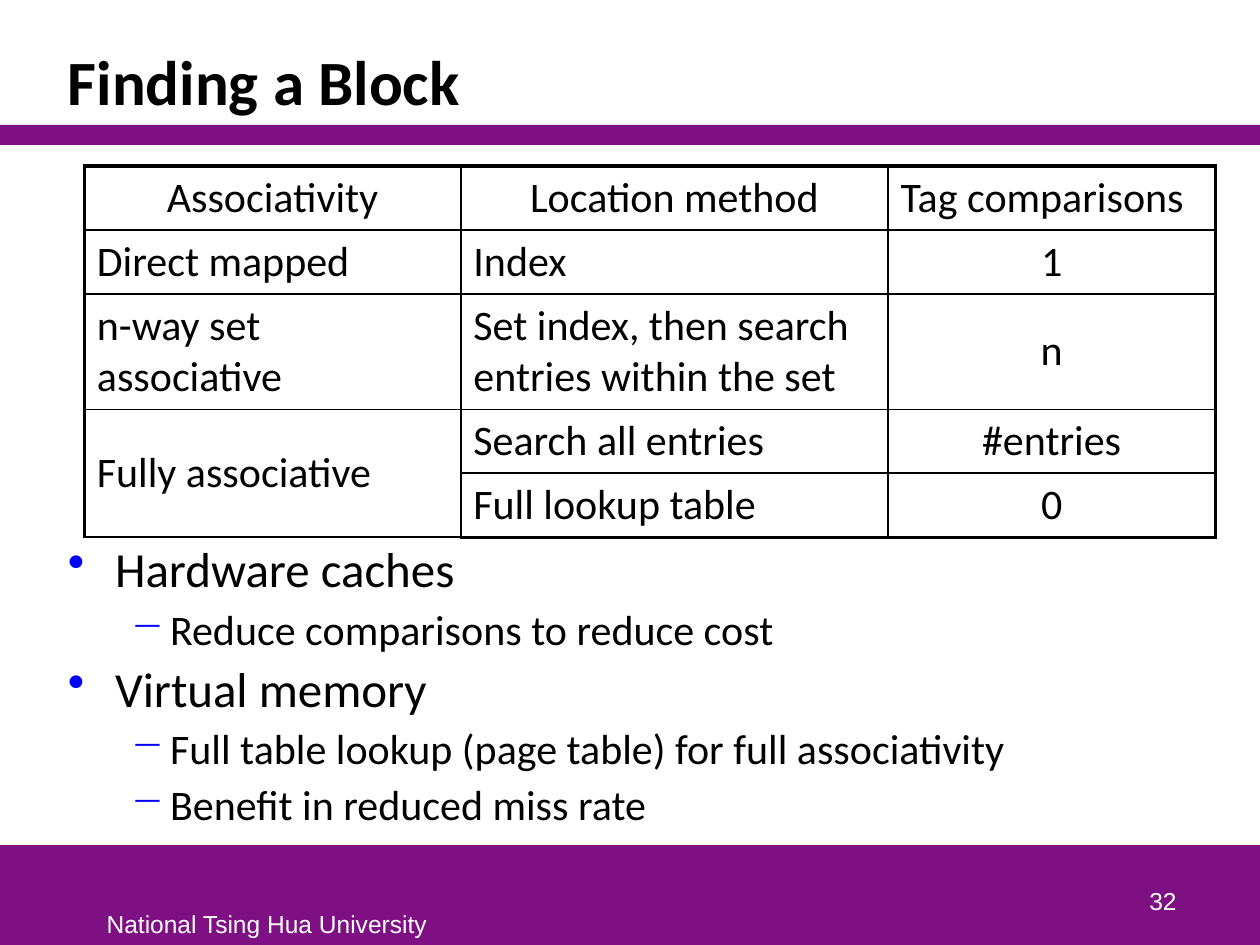
from dataclasses import dataclass

from lxml import etree
from pptx import Presentation, util as u
from pptx.dml.color import RGBColor
from pptx.enum import shapes, text
from pptx.oxml import ns

PURPLE = RGBColor(0x7F, 0x10, 0x84)
BLACK = RGBColor(0, 0, 0)
WHITE = RGBColor(255, 255, 255)
BLUE = RGBColor(0, 0, 255)

Cm, Pt = u.Cm, u.Pt
LEFT, CENTER, RIGHT = (text.PP_ALIGN.LEFT, text.PP_ALIGN.CENTER,
                       text.PP_ALIGN.RIGHT)
TOP, MIDDLE, BOTTOM = (text.MSO_ANCHOR.TOP, text.MSO_ANCHOR.MIDDLE,
                       text.MSO_ANCHOR.BOTTOM)

BODY_FONT = {"name": "Calibri", "size": Pt(24), "color": BLACK}
TITLE_FONT = {**BODY_FONT, "size": Pt(36), "bold": True}
FOOTER_FONT = {"name": "Arial", "size": Pt(14), "color": WHITE}

THIN, HEADER_RULE, FRAME = 1, 1.5, 2.25


@dataclass(frozen=True)
class Box:
    left: float
    top: float
    width: float
    height: float

    def lengths(self) -> tuple:
        return Cm(self.left), Cm(self.top), Cm(self.width), Cm(self.height)


@dataclass(frozen=True)
class Cell:
    words: str
    align: int = LEFT
    anchor: int = TOP


@dataclass(frozen=True)
class BulletLevel:
    mark: str
    size: int
    margin: float
    hang: float


POINT = BulletLevel("•", 28, 0.95, 0.95)
DETAIL = BulletLevel("−", 24, 2.06, 0.79)

BARS = [Box(0, 17.04, 25.4, 2.01), Box(0, 2.52, 25.4, 0.4)]
BULLETS = [
    (POINT, "Hardware caches"),
    (DETAIL, "Reduce comparisons to reduce cost"),
    (POINT, "Virtual memory"),
    (DETAIL, "Full table lookup (page table) for full associativity"),
    (DETAIL, "Benefit in reduced miss rate"),
]
COLUMNS = [7.59, 8.61, 6.6]
ROWS = [1.29, 1.29, 2.32, 1.29, 1.29]
CELLS = [
    [Cell("Associativity", CENTER), Cell("Location method", CENTER),
     Cell("Tag comparisons")],
    [Cell("Direct mapped"), Cell("Index"), Cell("1", CENTER)],
    [Cell("n-way set associative"),
     Cell("Set index, then search entries within the set"),
     Cell("n", CENTER, MIDDLE)],
    [Cell("Fully associative", anchor=MIDDLE), Cell("Search all entries"),
     Cell("#entries", CENTER)],
    [None, Cell("Full lookup table"), Cell("0", CENTER)],
]


def write(p, words: str, font: dict) -> None:
    r = p.add_run()
    r.text = words
    for key, value in font.items():
        if key == "color":
            r.font.color.rgb = value
        else:
            setattr(r.font, key, value)


def add_text(s, box: Box, wrap: bool = True, anchor: int = TOP):
    tf = s.shapes.add_textbox(*box.lengths()).text_frame
    tf.word_wrap = wrap
    tf.vertical_anchor = anchor
    return tf


def add_bar(s, box: Box) -> None:
    sp = s.shapes.add_shape(shapes.MSO_SHAPE.RECTANGLE, *box.lengths())
    sp.shadow.inherit = False
    sp.fill.solid()
    sp.fill.fore_color.rgb = PURPLE
    sp.line.fill.background()


def set_bullet(p, level: BulletLevel) -> None:
    p.space_before = Pt(3)
    pPr = p._p.get_or_add_pPr()
    pPr.set("marL", str(Cm(level.margin)))
    pPr.set("indent", str(-Cm(level.hang)))
    color = etree.SubElement(pPr, ns.qn("a:buClr"))
    etree.SubElement(color, ns.qn("a:srgbClr"), val=str(BLUE))
    etree.SubElement(pPr, ns.qn("a:buChar"), char=level.mark)


def set_borders(cell, widths: dict) -> None:
    tcPr = cell._tc.get_or_add_tcPr()
    for side, width in widths.items():
        ln = etree.SubElement(tcPr, ns.qn(f"a:ln{side}"), w=str(Pt(width)))
        fill = etree.SubElement(ln, ns.qn("a:solidFill"))
        etree.SubElement(fill, ns.qn("a:srgbClr"), val=str(BLACK))


def border_widths(row: int, col: int) -> dict:
    """Heavy outer frame, medium rule under the header, thin lines inside."""
    last_row, last_col = len(ROWS) - 1, len(COLUMNS) - 1
    return {
        "L": FRAME if col == 0 else THIN,
        "R": FRAME if col == last_col else THIN,
        "T": {0: FRAME, 1: HEADER_RULE}.get(row, THIN),
        "B": {0: HEADER_RULE, last_row: FRAME}.get(row, THIN),
    }


def add_associativity_table(s) -> None:
    box = Box(1.7, 3.35, sum(COLUMNS), sum(ROWS))
    table = s.shapes.add_table(len(ROWS), len(COLUMNS), *box.lengths()).table
    table.first_row = table.horz_banding = False
    for column, width in zip(table.columns, COLUMNS):
        column.width = Cm(width)
    for row, height in zip(table.rows, ROWS):
        row.height = Cm(height)
    for i, entries in enumerate(CELLS):
        for j, entry in enumerate(entries):
            cell = table.cell(i, j)
            set_borders(cell, border_widths(i, j))
            cell.fill.background()
            if entry:
                cell.vertical_anchor = entry.anchor
                p = cell.text_frame.paragraphs[0]
                p.alignment = entry.align
                write(p, entry.words, BODY_FONT)
    table.cell(3, 0).merge(table.cell(4, 0))


def add_bullets(s) -> None:
    tf = add_text(s, Box(1.12, 10.74, 23.16, 6.23))
    for i, (level, words) in enumerate(BULLETS):
        p = tf.add_paragraph() if i else tf.paragraphs[0]
        set_bullet(p, level)
        write(p, words, {**BODY_FONT, "size": Pt(level.size)})


def main() -> None:
    prs = Presentation()
    prs.slide_width, prs.slide_height = Cm(25.4), Cm(19.05)
    s = prs.slides.add_slide(prs.slide_layouts[6])
    for bar in BARS:
        add_bar(s, bar)

    footer = add_text(s, Box(1.9, 18.2, 7.01, 0.84), wrap=False)
    write(footer.paragraphs[0], "National Tsing Hua University", FOOTER_FONT)

    title = add_text(s, Box(1.12, 0.64, 23.16, 1.88), anchor=BOTTOM)
    title.paragraphs[0].line_spacing = 0.85
    write(title.paragraphs[0], "Finding a Block", TITLE_FONT)

    add_bullets(s)
    add_associativity_table(s)

    number = add_text(s, Box(18.69, 17.3, 5.28, 1.27), anchor=BOTTOM)
    number.paragraphs[0].alignment = RIGHT
    write(number.paragraphs[0], "32", FOOTER_FONT)
    prs.save("out.pptx")


if __name__ == "__main__":
    main()
